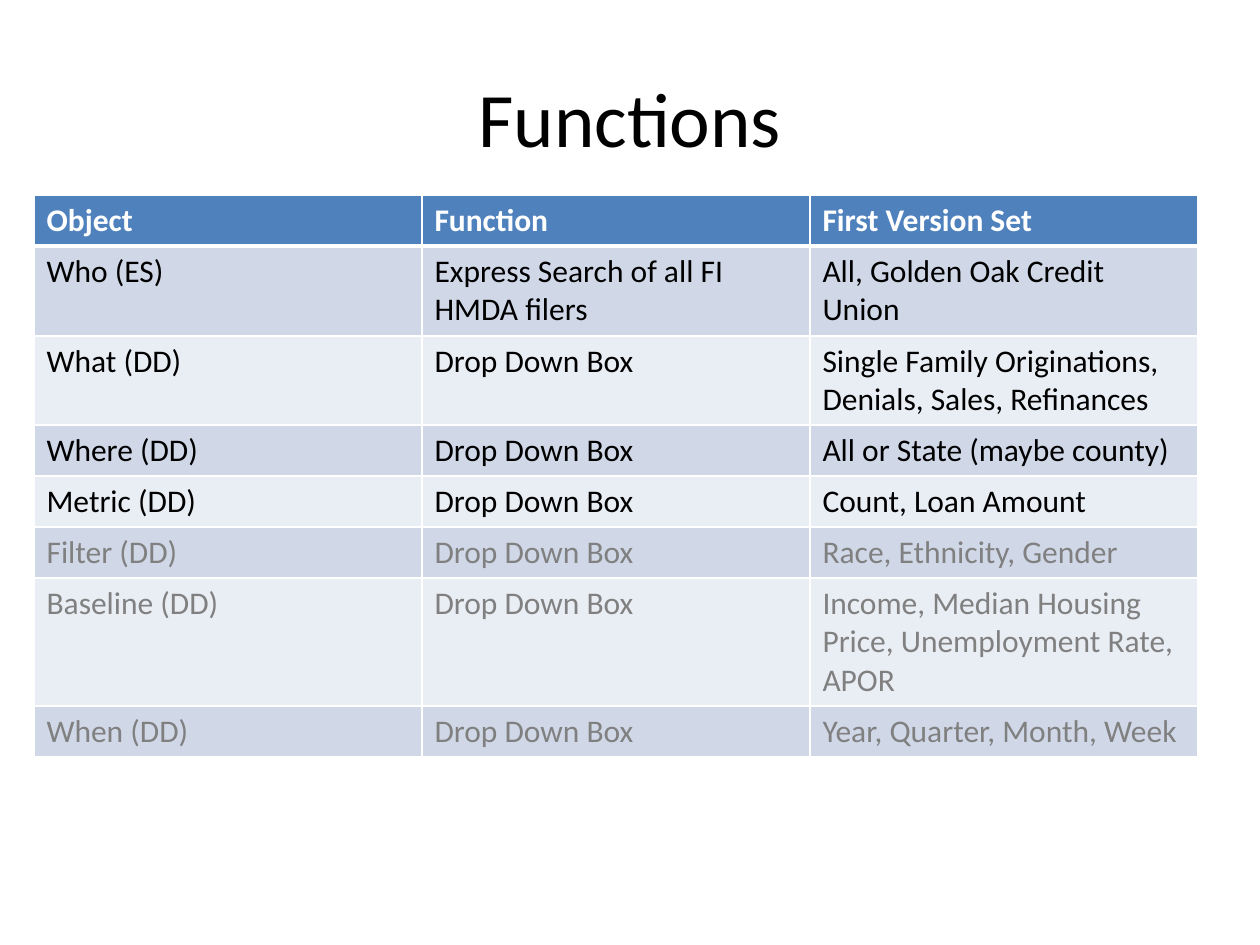
from dataclasses import dataclass

from lxml.etree import SubElement
from pptx import Presentation
from pptx.dml.color import RGBColor
from pptx.enum.text import MSO_ANCHOR, PP_ALIGN
from pptx.oxml.ns import qn
from pptx.util import Emu, Pt


@dataclass(frozen=True)
class Theme:
    font: str = "Calibri"
    title_size: int = 44
    table_size: int = 18
    text: str = "000000"
    muted: str = "808080"
    header_text: str = "FFFFFF"
    header_fill: str = "4F81BD"
    bands: tuple = ("D0D8E8", "E9EDF4")
    border: str = "FFFFFF"
    thin: int = 1
    thick: int = 3


THEME = Theme()
PX_PER_INCH = 126
COLUMN_WIDTH = 388
ROW_HEIGHTS = (51, 90, 89, 51, 51, 51, 128, 51)
FIRST_MUTED_ROW = 5
DROP_DOWN = "Drop Down Box"
ROWS = [
    ("Object", "Function", "First Version Set"),
    ("Who (ES)", "Express Search of all FI HMDA filers", "All, Golden Oak Credit Union"),
    ("What (DD)", DROP_DOWN, "Single Family Originations, Denials, Sales, Refinances"),
    ("Where (DD)", DROP_DOWN, "All or State (maybe county)"),
    ("Metric (DD)", DROP_DOWN, "Count, Loan Amount"),
    ("Filter (DD)", DROP_DOWN, "Race, Ethnicity, Gender"),
    ("Baseline (DD)", DROP_DOWN, "Income, Median Housing Price, Unemployment Rate, APOR"),
    ("When (DD)", DROP_DOWN, "Year, Quarter, Month, Week"),
]


def px(length):
    return Emu(round(length * 914400 / PX_PER_INCH))


def set_text(frame, text, size, color, bold=False):
    frame.text = text
    font = frame.paragraphs[0].runs[0].font
    font.name = THEME.font
    font.size = Pt(size)
    font.bold = bold
    font.color.rgb = RGBColor.from_string(color)


def add_title(page, text):
    box = page.shapes.add_textbox(px(63), px(38), px(1134), px(158))
    frame = box.text_frame
    frame.word_wrap = True
    frame.vertical_anchor = MSO_ANCHOR.MIDDLE
    set_text(frame, text, THEME.title_size, THEME.text)
    frame.paragraphs[0].alignment = PP_ALIGN.CENTER


def set_borders(cell, top, bottom):
    """Draw all four cell edges; top and bottom are widths in points."""
    properties = cell._tc.get_or_add_tcPr()
    widths = {"a:lnL": THEME.thin, "a:lnR": THEME.thin, "a:lnT": top, "a:lnB": bottom}
    for tag, width in widths.items():
        line = SubElement(properties, qn(tag), w=str(Pt(width)))
        fill = SubElement(line, qn("a:solidFill"))
        SubElement(fill, qn("a:srgbClr"), val=THEME.border)


def row_style(index):
    """Return the fill and text colour of a table row."""
    if index == 0:
        return THEME.header_fill, THEME.header_text
    color = THEME.muted if index >= FIRST_MUTED_ROW else THEME.text
    return THEME.bands[(index - 1) % 2], color


def add_function_table(page, rows):
    column_count = len(rows[0])
    table = page.shapes.add_table(
        len(rows), column_count, px(34), px(195),
        px(COLUMN_WIDTH * column_count), px(sum(ROW_HEIGHTS)),
    ).table
    for index, values in enumerate(rows):
        table.rows[index].height = px(ROW_HEIGHTS[index])
        fill, color = row_style(index)
        top = THEME.thick if index == 1 else THEME.thin
        bottom = THEME.thick if index == 0 else THEME.thin
        for column, value in enumerate(values):
            cell = table.cell(index, column)
            set_text(cell.text_frame, value, THEME.table_size, color, bold=index == 0)
            set_borders(cell, top, bottom)
            cell.fill.solid()
            cell.fill.fore_color.rgb = RGBColor.from_string(fill)


def main():
    deck = Presentation()
    deck.slide_width, deck.slide_height = px(1260), px(945)
    page = deck.slides.add_slide(deck.slide_layouts[6])
    add_title(page, "Functions")
    add_function_table(page, ROWS)
    deck.save("out.pptx")


if __name__ == "__main__":
    main()
